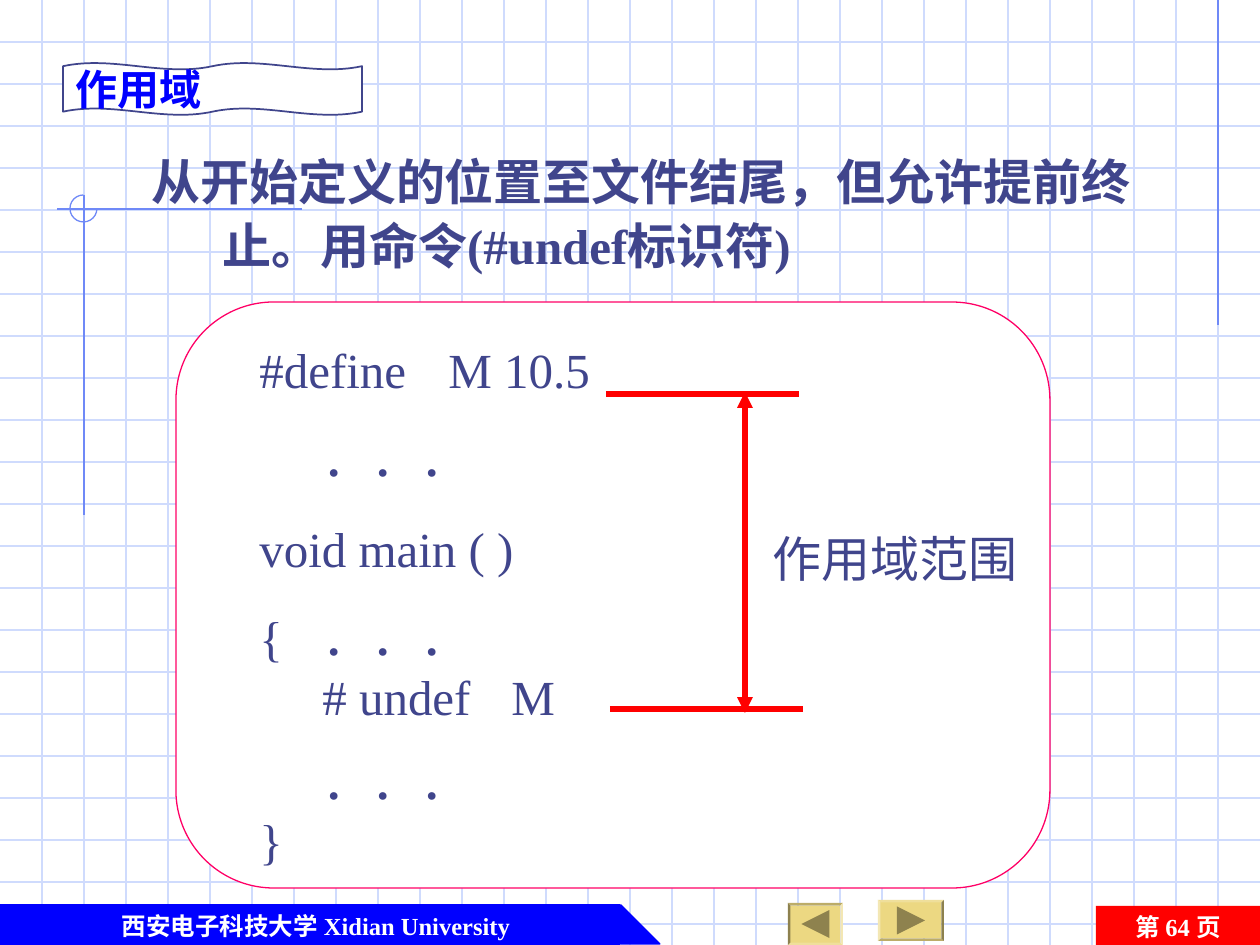
import pptx
import pptx.util
import pptx.dml.color
import pptx.enum.shapes
import pptx.enum.text
import pptx.oxml.ns
from lxml import etree

SCALE = 914400 // 126
GRID_STEP = 42
INK, BLUE, RED, WHITE = "40458C", "0000FF", "FF0000", "FFFFFF"
LATIN, CHINESE = "Times New Roman", "Noto Sans CJK SC"
SHAPE = pptx.enum.shapes.MSO_SHAPE
ALIGN = pptx.enum.text.PP_ALIGN
DOTS = "．．．"


def px(*lengths):
    """Turn pixel lengths into EMU."""
    return [round(length * SCALE) for length in lengths]


def color(value):
    """Make a colour from a hex string."""
    return pptx.dml.color.RGBColor.from_string(value)


def add_child(parent, name, **attributes):
    """Append a DrawingML element."""
    return etree.SubElement(parent, pptx.oxml.ns.qn(name), attributes)


def add_line(page, start, end, paint, width=0.75, arrows=False):
    """Draw a straight line, with arrowheads at both ends if asked."""
    line = page.shapes.add_connector(
        pptx.enum.shapes.MSO_CONNECTOR.STRAIGHT, *px(*start, *end))
    line.line.color.rgb = color(paint)
    line.line.width = pptx.util.Pt(width)
    if arrows:
        outline = line.line._get_or_add_ln()
        for end_name in ("a:headEnd", "a:tailEnd"):
            add_child(outline, end_name, type="triangle")
    add_child(line.element.spPr, "a:effectLst")
    return line


def add_form(page, kind, box, fill=None, line=None, width=0.75):
    """Draw a preset shape without a shadow."""
    form = page.shapes.add_shape(kind, *px(*box))
    form.shadow.inherit = False
    if fill:
        form.fill.solid()
        form.fill.fore_color.rgb = color(fill)
    else:
        form.fill.background()
    if line:
        form.line.color.rgb = color(line)
        form.line.width = pptx.util.Pt(width)
    else:
        form.line.fill.background()
    return form


def style_paragraph(para, text, size, paint, bold=False, align=ALIGN.LEFT,
                    spacing=1.0, before=0, stops=(), margin=0, indent=0):
    """Fill one paragraph and set its layout and font."""
    para.text = text
    para.alignment = align
    para.line_spacing = spacing
    para.space_before = pptx.util.Pt(before)
    properties = para._p.get_or_add_pPr()
    properties.set("marL", str(px(margin)[0]))
    properties.set("indent", str(px(indent)[0]))
    if stops:
        tabs = add_child(properties, "a:tabLst")
        for stop in stops:
            add_child(tabs, "a:tab", pos=str(px(stop)[0]), algn="l")
    para.font.size = pptx.util.Pt(size)
    para.font.bold = bold
    para.font.color.rgb = color(paint)
    para.font.name = LATIN
    add_child(para.font._element, "a:ea", typeface=CHINESE)


def add_text(page, box, text, size, paint, **layout):
    """Place a wrapping text box with one paragraph."""
    frame = page.shapes.add_textbox(*px(*box)).text_frame
    frame.word_wrap = True
    style_paragraph(frame.paragraphs[0], text, size, paint, **layout)
    return frame


def draw_backdrop(page, box):
    """Draw the square grid and the corner ornaments."""
    left, top, width, height = box
    right, bottom = left + width, top + height
    for y in range(top + GRID_STEP, bottom, GRID_STEP):
        add_line(page, (left, y), (right, y), "CFDBFD")
    for x in range(left + GRID_STEP, right, GRID_STEP):
        add_line(page, (x, top), (x, bottom), "CFDBFD")
    for start, end in [((1218, 0), (1218, 325)), ((302, 209), (57, 209)),
                       ((84, 195), (84, 515))]:
        add_line(page, (left + start[0], top + start[1]),
                 (left + end[0], top + end[1]), "6F89F7")
    arc = add_form(page, SHAPE.ARC, (left + 70, top + 195, 27, 27), line="6F89F7")
    arc.adjustments[0] = 0
    arc.adjustments[1] = 162


def draw_button(page, box, forward):
    """Draw a bevelled navigation button with its arrow."""
    left, top, width, height = box
    bevel = add_form(page, SHAPE.BEVEL, box, "ECD882")
    bevel.adjustments[0] = 0.06
    bevel.rotation = 0 if forward else 180
    side = 28
    arrow = add_form(page, SHAPE.ISOSCELES_TRIANGLE,
                     (left + (width - side) / 2, top + (height - side) / 2, side, side),
                     "8E824E")
    arrow.rotation = 90 if forward else 270


def draw_footer(page, box):
    """Draw the school band, the page number and the buttons."""
    left, top, width, height = box
    add_form(page, SHAPE.RECTANGLE, (left, top, 620, height), BLUE, BLUE)
    add_form(page, SHAPE.RIGHT_TRIANGLE, (left + 621, top, height, height), BLUE, BLUE)
    add_text(page, (left + 37, top, 558, 43), "西安电子科技大学 Xidian University",
             14, WHITE, bold=True, align=ALIGN.CENTER)
    number = add_form(page, SHAPE.RECTANGLE, (left + width - 164, top + 1, 164, 101), RED)
    number.text_frame.vertical_anchor = pptx.enum.text.MSO_ANCHOR.TOP
    style_paragraph(number.text_frame.paragraphs[0], "第 64 页", 14, WHITE,
                    bold=True, align=ALIGN.CENTER)
    draw_button(page, (left + 878, top - 5, 66, 41), True)
    draw_button(page, (left + 788, top - 2, 55, 42), False)


def draw_title(page, box):
    """Draw the wavy tag and set the title on it."""
    add_form(page, SHAPE.DOUBLE_WAVE, box, WHITE, INK, 1)
    title = page.shapes.title
    title.left, title.top, title.width, title.height = px(*box)
    frame = title.text_frame
    frame.auto_size = pptx.enum.text.MSO_AUTO_SIZE.NONE
    frame.word_wrap = False
    frame.vertical_anchor = pptx.enum.text.MSO_ANCHOR.MIDDLE
    style_paragraph(frame.paragraphs[0], "作用域", 24, BLUE, bold=True)
    page.shapes.element.append(title.element)


def draw_example(page, box):
    """Draw the code panel with the marked scope."""
    left, top, width, height = box
    panel = add_form(page, SHAPE.ROUNDED_RECTANGLE, box, WHITE, "FF0066")
    panel.adjustments[0] = 0.167
    code = [("#define\tM 10.5", 1, (195,)), ("\t" + DOTS, 1, (132,)),
            ("void main ( )", 1, ()), ("{\t" + DOTS, 1, (158,)),
            ("\t# undef\tM", 0.4, (61, 245)), ("\t" + DOTS, 1, (132,)),
            ("}", 0.4, ())]
    frame = page.shapes.add_textbox(*px(left + 71, top + 31, 362, 538)).text_frame
    frame.word_wrap = True
    for index, (text, spacing, stops) in enumerate(code):
        para = frame.add_paragraph() if index else frame.paragraphs[0]
        style_paragraph(para, text, 28, INK, spacing=spacing, before=17.5, stops=stops)
    add_line(page, (left + 569, top + 90), (left + 569, top + 411), RED, 3, arrows=True)
    add_text(page, (left + 584, top + 220, 319, 72), "作用域范围", 28, INK)
    for x, y in [(430, 92), (434, 407)]:
        add_line(page, (left + x, top + y), (left + x + 193, top + y), RED, 3)


def build_page(deck):
    """Build the slide about the scope of a macro."""
    page = deck.slides.add_slide(deck.slide_layouts[5])
    draw_backdrop(page, (0, 0, 1260, 945))
    draw_footer(page, (0, 905, 1260, 39))
    draw_example(page, (176, 302, 874, 586))
    add_text(page, (84, 139, 1105, 142),
             "从开始定义的位置至文件结尾，但允许提前终止。用命令(#undef标识符)",
             28, INK, bold=True, spacing=1.1, margin=126, indent=-71)
    draw_title(page, (63, 63, 299, 52))


deck = pptx.Presentation()
deck.slide_width, deck.slide_height = px(1260, 945)
build_page(deck)
deck.save("out.pptx")
